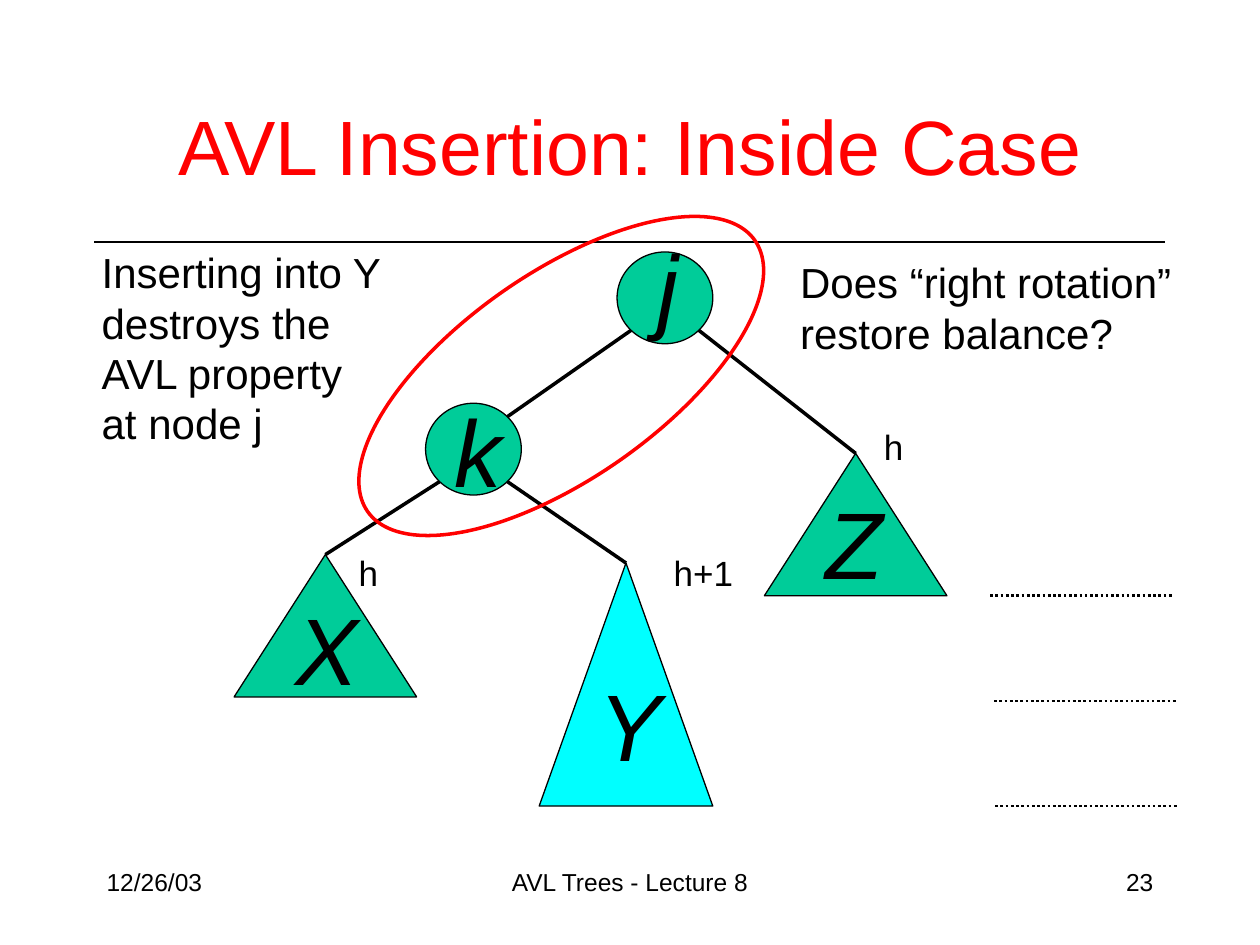
from lxml.etree import SubElement
from pptx import Presentation
from pptx.dml.color import RGBColor
from pptx.enum.dml import MSO_LINE
from pptx.enum.shapes import MSO_CONNECTOR, MSO_SHAPE
from pptx.enum.text import MSO_ANCHOR, PP_ALIGN
from pptx.oxml.ns import qn
from pptx.util import Cm, Pt

BLACK, RED, GREEN, CYAN = "000000", "FF0000", "00CC99", "00FFFF"
NODE_SIZE = (1.93, 1.85)
SUBTREE_SIZE = (3.68, 2.87)
NEAR, FAR = 0.146, 0.854  # diagonal points of an ellipse, as parts of its box


def color(hex_code):
    """Turn a hex string into a colour."""
    return RGBColor.from_string(hex_code)


def write(paragraph, text, size, hex_code=BLACK, italic=False):
    """Add one formatted run to a paragraph."""
    run = paragraph.add_run()
    run.text = text
    run.font.name = "Arial"
    run.font.size = Pt(size)
    run.font.italic = italic
    run.font.color.rgb = color(hex_code)


def add_text(slide, box, lines, size, align=PP_ALIGN.LEFT, italic=False, before=0):
    """Place a text box with one paragraph for each line."""
    frame = slide.shapes.add_textbox(*map(Cm, box)).text_frame
    frame.word_wrap = True
    for index, line in enumerate(lines):
        paragraph = frame.add_paragraph() if index else frame.paragraphs[0]
        paragraph.alignment = align
        paragraph.space_before = Pt(before)
        write(paragraph, line, size, italic=italic)


def add_line(slide, start, end, width, dash=None):
    """Draw a straight black line without shadow."""
    line = slide.shapes.add_connector(
        MSO_CONNECTOR.STRAIGHT, *map(Cm, (*start, *end)))
    line.line.color.rgb = color(BLACK)
    line.line.width = Pt(width)
    if dash:
        line.line.dash_style = dash
    SubElement(line._element.spPr, qn("a:effectLst"))


def add_outline(slide, kind, box, fill=None, stroke=BLACK, width=0.75):
    """Draw a preset shape, filled or hollow."""
    shape = slide.shapes.add_shape(kind, *map(Cm, box))
    shape.shadow.inherit = False
    if fill:
        shape.fill.solid()
        shape.fill.fore_color.rgb = color(fill)
    else:
        shape.fill.background()
    shape.line.color.rgb = color(stroke)
    shape.line.width = Pt(width)
    return shape


def add_named(slide, kind, box, fill, name, offset):
    """Draw a node or subtree with its large italic letter."""
    add_outline(slide, kind, box, fill)
    letter_box = (box[0] + offset[0], box[1] + offset[1], 1.18, 2.54)
    add_text(slide, letter_box, [name], 54, italic=True, before=5)


def point(box, across, down):
    """Find a point of a box from its relative position."""
    left, top, width, height = box
    return left + across * width, top + down * height


def add_heading(slide, left, top, width):
    """Fill the title placeholder and draw the rule below it."""
    title = slide.shapes.title
    title.left, title.top = Cm(left), Cm(top)
    title.width, title.height = Cm(width), Cm(2.24)
    title.text_frame.vertical_anchor = MSO_ANCHOR.MIDDLE
    paragraph = title.text_frame.paragraphs[0]
    paragraph.alignment = PP_ALIGN.CENTER
    write(paragraph, "AVL Insertion: Inside Case", 44, RED)
    add_line(slide, (left + 0.05, top + 3.08), (left + width - 0.08, top + 3.08), 0.75)


def add_tree(slide, left, top):
    """Draw the AVL tree with its edges, heights and rotation ring."""
    node_j = (left + 7.72, top, *NODE_SIZE)
    node_k = (left + 3.86, top + 3.05, *NODE_SIZE)
    subtree_x = (left, top + 6.1, *SUBTREE_SIZE)
    subtree_y = (left + 6.15, top + 6.27, 3.5, 4.9)
    subtree_z = (left + 10.69, top + 4.06, *SUBTREE_SIZE)

    edges = [
        (point(node_j, NEAR, FAR), point(node_k, FAR, NEAR)),
        (point(node_j, FAR, FAR), point(subtree_z, 0.5, 0)),
        (point(node_k, NEAR, FAR), point(subtree_x, 0.5, 0)),
        (point(node_k, FAR, FAR), point(subtree_y, 0.5, 0)),
    ]
    for start, end in edges:
        add_line(slide, start, end, 2)

    oval, triangle = MSO_SHAPE.OVAL, MSO_SHAPE.ISOSCELES_TRIANGLE
    for part in [
        (oval, node_j, GREEN, "j", (0.56, -0.61)),
        (oval, node_k, GREEN, "k", (0.33, -0.33)),
        (triangle, subtree_x, GREEN, "X", (0.99, 0.61)),
        (triangle, subtree_y, CYAN, "Y", (0.94, 1.98)),
        (triangle, subtree_z, GREEN, "Z", (0.99, 0.51)),
    ]:
        add_named(slide, *part)

    ring = add_outline(slide, oval, (left + 1.83, top + 0.43, 9.53, 4.14),
                       stroke=RED, width=2)
    ring.rotation = 325

    for height, across, down, width in [
        ("h", 12.85, 3.38, 0.92), ("h+1", 8.61, 5.92, 1.8), ("h", 2.26, 5.92, 0.92),
    ]:
        add_text(slide, (left + across, top + down, width, 1.09), [height], 20)


def add_levels(slide, left, top, step):
    """Draw the dotted lines that mark the depth levels."""
    for level, shift in enumerate((0, 0.08, 0.1)):
        start = (left + shift, top + level * step)
        add_line(slide, start, (start[0] + SUBTREE_SIZE[0], start[1]), 1.5,
                 MSO_LINE.ROUND_DOT)


def add_footer(slide, left, top, width):
    """Place date, lecture name and page number along the bottom."""
    side, middle = 5.28, 8.05
    for text, offset, part_width, align in [
        ("12/26/03", 0, side, PP_ALIGN.LEFT),
        ("AVL Trees - Lecture 8", (width - middle) / 2, middle, PP_ALIGN.CENTER),
        ("23", width - side, side, PP_ALIGN.RIGHT),
    ]:
        add_text(slide, (left + offset, top, part_width, 1.27), [text], 14, align)


def build():
    """Build and save the presentation."""
    deck = Presentation()
    deck.slide_width, deck.slide_height = Cm(25.4), Cm(19.05)
    slide = deck.slides.add_slide(deck.slide_layouts[5])
    add_heading(slide, 1.85, 1.8, 21.72)
    add_tree(slide, 4.72, 5.08)
    add_levels(slide, 19.96, 12.01, 2.12)
    add_text(slide, (1.8, 4.85, 6.4, 4.32), [
        "Inserting into Y", "destroys the", "AVL property", "at node j"], 24)
    add_text(slide, (15.88, 5.05, 8.1, 2.29), [
        "Does “right rotation”", "restore balance?"], 24)
    add_footer(slide, 1.9, 17.35, 21.6)
    deck.save("out.pptx")


build()
